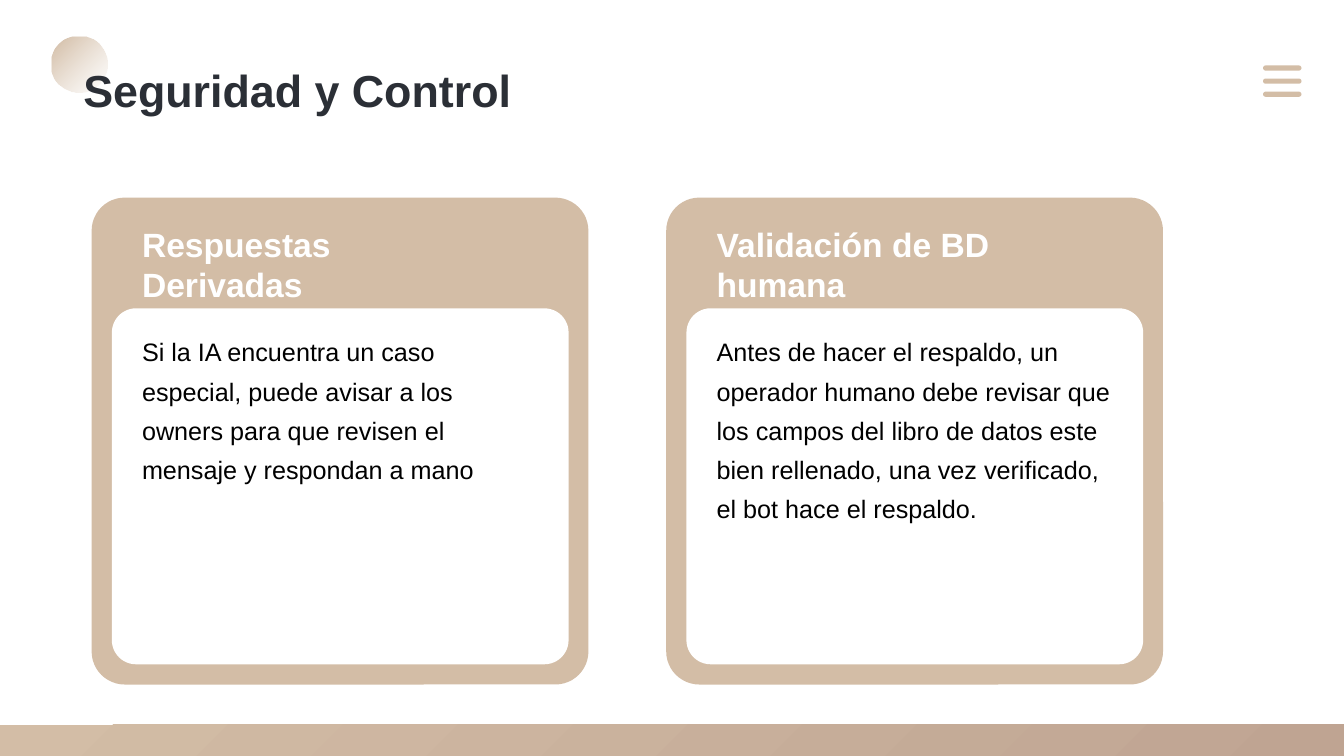
from dataclasses import dataclass

from lxml import etree
from pptx import Presentation
from pptx.dml.color import RGBColor
from pptx.enum import shapes, text
from pptx.oxml import ns
from pptx.util import Cm, Pt

SAND = RGBColor(0xD3, 0xBD, 0xA6)
BRONZE = RGBColor(0xB4, 0x8E, 0x67)
CLAY = RGBColor(0xBF, 0xA4, 0x92)
INK = RGBColor(0x2B, 0x2F, 0x36)
WHITE = RGBColor(0xFF, 0xFF, 0xFF)
BLACK = RGBColor(0x00, 0x00, 0x00)
FONT = "Arial"
CARD_TOP = 4.98
CARD_ROUNDING = 0.068


@dataclass(frozen=True)
class Area:
    """A rectangle in centimetres."""
    left: float
    top: float
    width: float
    height: float

    def lengths(self) -> tuple:
        return Cm(self.left), Cm(self.top), Cm(self.width), Cm(self.height)


@dataclass(frozen=True)
class Stop:
    color: RGBColor
    opacity: int = 100


@dataclass(frozen=True)
class Card:
    left: float
    heading: str
    body: str


CARDS = (
    Card(2.31, "Respuestas Derivadas",
         "Si la IA encuentra un caso especial, puede avisar a los owners "
         "para que revisen el mensaje y respondan a mano"),
    Card(16.79, "Validación de BD humana",
         "Antes de hacer el respaldo, un operador humano debe revisar que "
         "los campos del libro de datos este bien rellenado, una vez "
         "verificado, el bot hace el respaldo."),
)


def add_plain_shape(page, kind, area: Area):
    """Add a shape without outline or shadow."""
    shape = page.shapes.add_shape(kind, *area.lengths())
    shape.shadow.inherit = False
    shape.line.fill.background()
    return shape


def add_rounded(page, area: Area, rounding: float, color: RGBColor) -> None:
    shape = add_plain_shape(page, shapes.MSO_SHAPE.ROUNDED_RECTANGLE, area)
    shape.adjustments[0] = rounding
    shape.fill.solid()
    shape.fill.fore_color.rgb = color


def fill_gradient(shape, angle: float, stops: tuple[Stop, Stop]) -> None:
    """Fill with two stops; the angle runs counter-clockwise."""
    shape.fill.gradient()
    shape.fill.gradient_angle = angle
    for target, stop in zip(shape.fill.gradient_stops, stops):
        target.color.rgb = stop.color
    colors = shape.element.spPr.iter(ns.qn("a:srgbClr"))
    for color, stop in zip(list(colors), stops):
        if stop.opacity < 100:
            alpha = etree.SubElement(color, ns.qn("a:alpha"))
            alpha.set("val", str(stop.opacity * 1000))


def add_text(page, area: Area, wording: str, size: int, color: RGBColor,
             bold: bool = False, spacing: float = 1.0) -> None:
    frame = page.shapes.add_textbox(*area.lengths()).text_frame
    frame.word_wrap = True
    frame.auto_size = text.MSO_AUTO_SIZE.SHAPE_TO_FIT_TEXT
    para = frame.paragraphs[0]
    para.text = wording
    para.line_spacing = spacing
    para.font.name = FONT
    para.font.size = Pt(size)
    para.font.bold = bold
    para.font.color.rgb = color


def add_card(page, card: Card) -> None:
    add_rounded(page, Area(card.left, CARD_TOP, 12.52, 12.27),
                CARD_ROUNDING, SAND)
    add_rounded(page, Area(card.left + 0.51, CARD_TOP + 2.79, 11.51, 8.97),
                CARD_ROUNDING, WHITE)
    text_left = card.left + 1.02
    add_text(page, Area(text_left, CARD_TOP + 0.53, 8.05, 2.16),
             card.heading, 24, WHITE, bold=True)
    add_text(page, Area(text_left, CARD_TOP + 3.15, 10.49, 3.96),
             card.body, 18, BLACK, spacing=1.3)


def add_menu_icon(page) -> None:
    for row in range(3):
        add_rounded(page, Area(31.83, 1.65 + row * 0.33, 0.97, 0.13), 0.5, SAND)


def main() -> None:
    deck = Presentation()
    deck.slide_width, deck.slide_height = Cm(33.87), Cm(19.05)
    page = deck.slides.add_slide(deck.slide_layouts[6])

    disc = add_plain_shape(page, shapes.MSO_SHAPE.OVAL,
                           Area(1.27, 0.89, 1.45, 1.45))
    disc.rotation = 315
    fill_gradient(disc, 90, (Stop(SAND, 0), Stop(BRONZE, 67)))
    add_menu_icon(page)
    add_text(page, Area(1.85, 1.45, 17.42, 1.37),
             "Seguridad y Control", 32, INK, bold=True)

    footer = add_plain_shape(page, shapes.MSO_SHAPE.RECTANGLE,
                             Area(-0.05, 18.26, 33.96, 0.79))
    fill_gradient(footer, 315, (Stop(SAND), Stop(CLAY)))

    for card in CARDS:
        add_card(page, card)
    deck.save("out.pptx")


if __name__ == "__main__":
    main()
